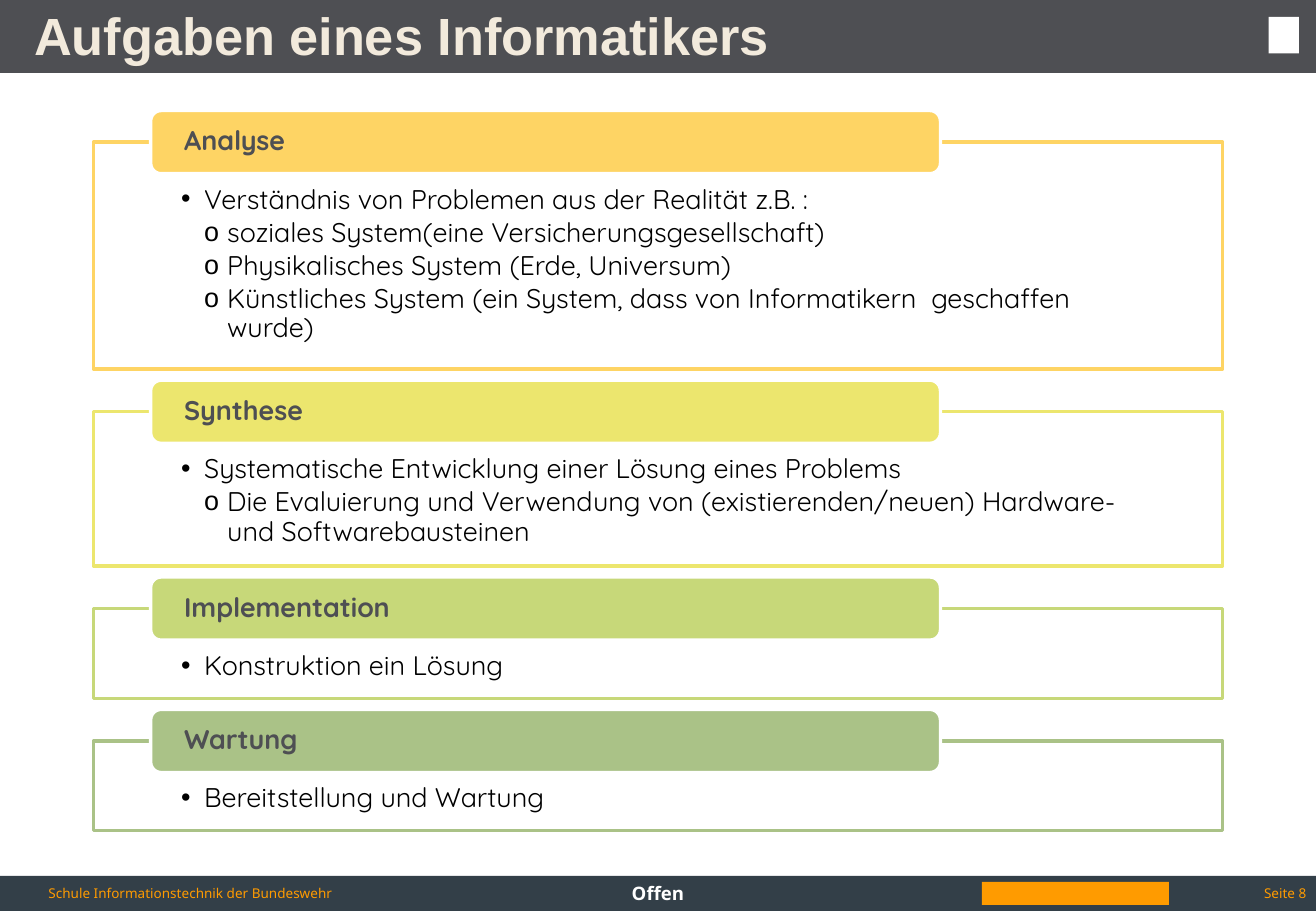
from lxml import etree
from pptx import Presentation
from pptx.dml.color import RGBColor
from pptx.enum.shapes import MSO_SHAPE
from pptx.enum.text import MSO_ANCHOR, PP_ALIGN
from pptx.oxml.ns import qn
from pptx.util import Inches, Pt

COLORS = {
    "header": "4E4F53", "footer": "333F48", "accent": "FF9B00",
    "title": "F2EADC", "white": "FFFFFF", "black": "000000",
    "analysis": "FED464", "synthesis": "ECE66E",
    "implementation": "C7D879", "maintenance": "AAC287",
}
TITLE = "Aufgaben eines Informatikers"
# heading, colour, panel height, (level, text) entries
TASKS = [
    ("Analyse", "analysis", 1.87, [
        (1, "Verständnis von Problemen aus der Realität z.B. :"),
        (2, "soziales System(eine Versicherungsgesellschaft)"),
        (2, "Physikalisches System (Erde, Universum)"),
        (2, "Künstliches System (ein System, dass von Informatikern  geschaffen wurde)"),
    ]),
    ("Synthese", "synthesis", 1.27, [
        (1, "Systematische Entwicklung einer Lösung eines Problems"),
        (2, "Die Evaluierung und Verwendung von (existierenden/neuen) "
            "Hardware-und Softwarebausteinen"),
    ]),
    ("Implementation", "implementation", 0.74, [(1, "Konstruktion ein Lösung")]),
    ("Wartung", "maintenance", 0.74, [(1, "Bereitstellung und Wartung")]),
]
# text, box, size, colour, bold, alignment, anchor
FOOTER = [
    ("Schule Informationstechnik der Bundeswehr", (0.3, 6.96, 4.09, 0.79), 8, "accent",
     False, PP_ALIGN.LEFT, MSO_ANCHOR.MIDDLE),
    ("Offen", (3.7, 7.21, 3.43, 0.4), 11, "white", True, PP_ALIGN.CENTER, MSO_ANCHOR.TOP),
    ("Seite 8", (8.32, 7.21, 2.53, 0.29), 8, "accent", False, PP_ALIGN.RIGHT,
     MSO_ANCHOR.MIDDLE),
]
SLIDE_W, SLIDE_H = 10.83, 7.5
PANEL_LEFT, PANEL_W, FIRST_TOP, PANEL_GAP = 0.77, 9.29, 1.17, 0.35
HEADING_LEFT, HEADING_W, HEADING_H = 1.24, 6.5, 0.52
INDENT = 0.19


def rgb(name):
    return RGBColor.from_string(COLORS[name])


def inches(box):
    return [Inches(value) for value in box]


def add_block(slide, kind, box, fill, line=None):
    block = slide.shapes.add_shape(kind, *inches(box))
    block.shadow.inherit = False
    block.fill.solid()
    block.fill.fore_color.rgb = rgb(fill)
    if line:
        block.line.color.rgb = rgb(line)
        block.line.width = Pt(2)
    else:
        block.line.fill.background()
    return block


def set_frame(frame, anchor, insets):
    frame.word_wrap = True
    frame.vertical_anchor = anchor
    (frame.margin_left, frame.margin_top,
     frame.margin_right, frame.margin_bottom) = inches(insets)


def set_lines(frame, lines, font, size, color, bold=False, align=PP_ALIGN.LEFT):
    frame.text = "\n".join(lines)
    for paragraph in frame.paragraphs:
        paragraph.alignment = align
        paragraph.font.name = font
        paragraph.font.size = Pt(size)
        paragraph.font.bold = bold
        paragraph.font.color.rgb = rgb(color)


def add_bullet(paragraph, level):
    paragraph.level = level
    properties = paragraph._p.get_or_add_pPr()
    properties.set("marL", str(Inches(INDENT * level)))
    properties.set("indent", str(-Inches(INDENT)))
    bullet_font = etree.Element(qn("a:buFont"), typeface="Arial")
    bullet = etree.Element(qn("a:buChar"), char="•" if level == 1 else "o")
    defaults = properties.find(qn("a:defRPr"))
    defaults.addprevious(bullet_font)
    defaults.addprevious(bullet)


def add_task(slide, top, heading, color, height, entries):
    panel = add_block(slide, MSO_SHAPE.RECTANGLE,
                      (PANEL_LEFT, top, PANEL_W, height), "white", color)
    set_frame(panel.text_frame, MSO_ANCHOR.TOP, (0.72, 0.36, 0.72, 0.12))
    set_lines(panel.text_frame, [text for _, text in entries], "Quicksand", 16, "black")
    for paragraph, (level, _) in zip(panel.text_frame.paragraphs, entries):
        add_bullet(paragraph, level)
        paragraph.line_spacing = 0.9
        paragraph.space_after = Pt(2.4)

    tab = add_block(slide, MSO_SHAPE.ROUNDED_RECTANGLE,
                    (HEADING_LEFT, top - HEADING_H / 2, HEADING_W, HEADING_H),
                    color, "white")
    set_frame(tab.text_frame, MSO_ANCHOR.MIDDLE, (0.25, 0, 0.25, 0))
    set_lines(tab.text_frame, [heading], "Quicksand", 16, "header", bold=True)
    tab.text_frame.paragraphs[0].line_spacing = 0.9


def add_footer(slide):
    add_block(slide, MSO_SHAPE.RECTANGLE, (0, 7.21, SLIDE_W, 0.29), "footer")
    add_block(slide, MSO_SHAPE.RECTANGLE, (8.08, 7.26, 1.54, 0.19), "accent")
    for text, box, size, color, bold, align, anchor in FOOTER:
        label = slide.shapes.add_textbox(*inches(box))
        set_frame(label.text_frame, anchor, (0.1, 0.05, 0.1, 0.05))
        set_lines(label.text_frame, [text], "Noto Sans", size, color, bold, align)


def add_header(slide):
    add_block(slide, MSO_SHAPE.RECTANGLE, (0, 0, SLIDE_W, 0.6), "header")
    add_block(slide, MSO_SHAPE.RECTANGLE, (10.44, 0.14, 0.25, 0.3), "white")
    title = slide.shapes.title
    title.left, title.top, title.width, title.height = inches((0, 0.05, 10.41, 0.47))
    set_frame(title.text_frame, MSO_ANCHOR.MIDDLE, (0.28, 0.05, 0.1, 0.05))
    set_lines(title.text_frame, [TITLE], "Arial", 31, "title", bold=True)
    slide.shapes._spTree.append(title._element)  # bring in front of the header bar


def main():
    deck = Presentation()
    deck.slide_width, deck.slide_height = inches((SLIDE_W, SLIDE_H))
    slide = deck.slides.add_slide(deck.slide_layouts[5])
    add_header(slide)
    add_footer(slide)
    top = FIRST_TOP
    for heading, color, height, entries in TASKS:
        add_task(slide, top, heading, color, height, entries)
        top += height + PANEL_GAP
    deck.save("out.pptx")


if __name__ == "__main__":
    main()
